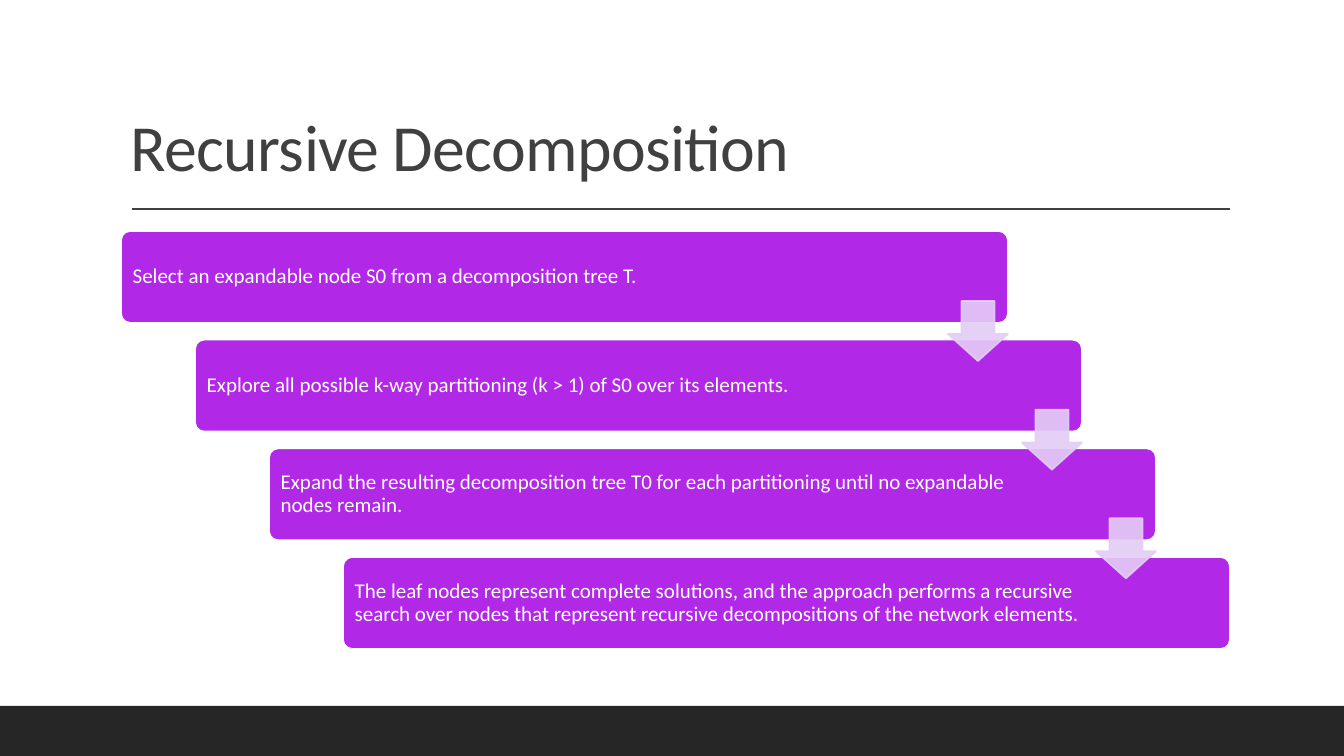
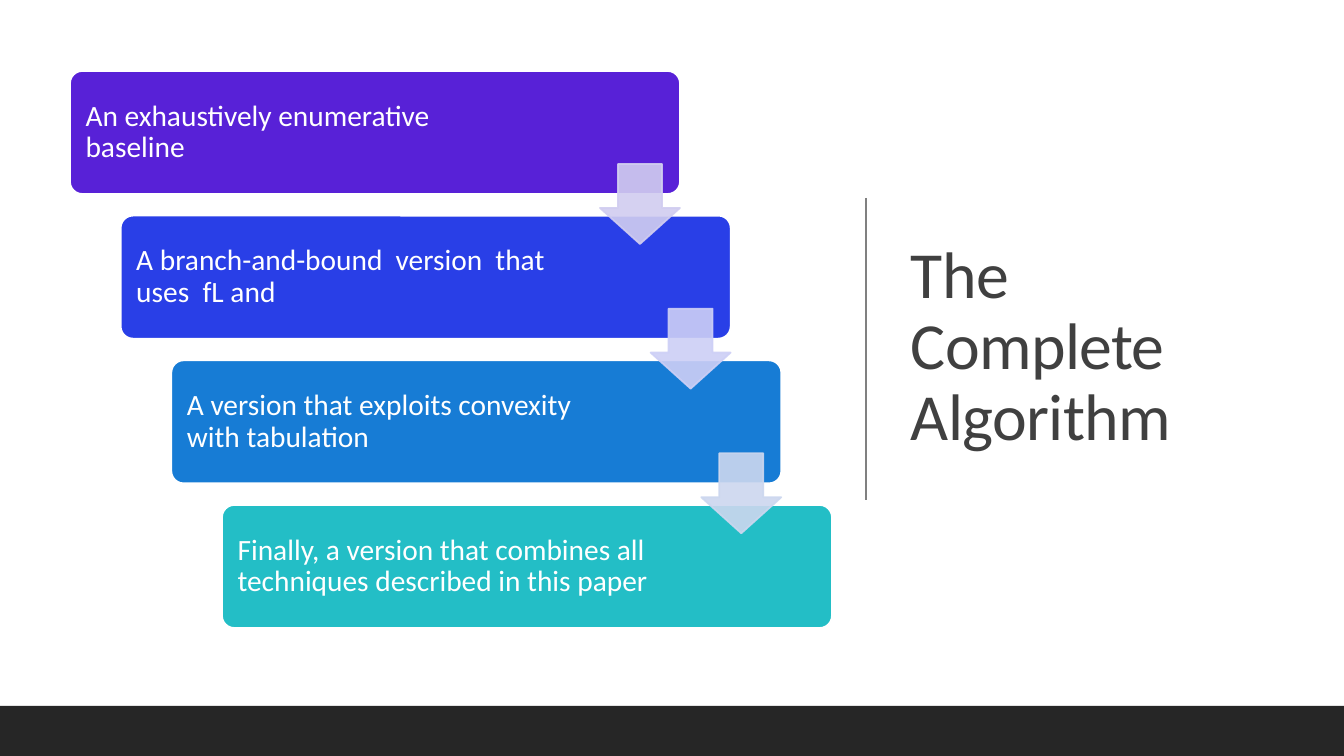
from lxml.etree import SubElement
from pptx import Presentation
from pptx.dml.color import RGBColor
from pptx.enum.shapes import MSO_CONNECTOR, MSO_SHAPE as SHAPE
from pptx.enum.text import MSO_ANCHOR as ANCHOR, PP_ALIGN
from pptx.oxml.ns import qn
from pptx.util import Emu, Pt

SLIDE_W, SLIDE_H = 1344, 756

THEME = {
    "font": "Calibri",
    "title_size": 47,
    "title_color": "404040",
    "footer_color": "262626",
    "light": "FFFFFF",
    "outline": 1.25,
    "rule": 1,
    "line_spacing": 0.9,
}
FOOTER = (0, 706, SLIDE_W, 50)

# Each step: text, box colour, colour of the arrow that leaves it
SLIDES = [
    {
        "title": "Recursive Decomposition",
        "title_box": (121, 31, 1109, 160),
        "title_anchor": ANCHOR.BOTTOM,
        "rule": (132, 209, 1230, 209),
        "rule_color": "404040",
        "stairs": {"first": (121, 231), "last": (343, 557), "box": (887, 92),
                   "arrow": 60, "arrow_drop": 70, "margins": (9, 143), "size": 15},
        "steps": [
            ("Select an expandable node S0 from a decomposition tree T.",
             "B129E7", "E4CDF6"),
            ("Explore all possible k-way partitioning (k > 1) of S0 over its elements.",
             "B129E7", "E4CDF6"),
            ("Expand the resulting decomposition tree T0 for each partitioning "
             "until no expandable nodes remain.", "B129E7", "E4CDF6"),
            ("The leaf nodes represent complete solutions, and the approach performs "
             "a recursive search over nodes that represent recursive decompositions "
             "of the network elements.", "B129E7", None),
        ],
    },
    {
        "title": "The Complete Algorithm",
        "title_box": (901, 70, 372, 557),
        "title_anchor": ANCHOR.MIDDLE,
        "rule": (866, 198, 866, 500),
        "rule_color": "808080",
        "stairs": {"first": (70, 71), "last": (222, 505), "box": (610, 123),
                   "arrow": 80, "arrow_drop": 93, "margins": (12, 149), "size": 21},
        "steps": [
            ("An exhaustively enumerative baseline", "5821D7", "D1CDF0"),
            ("A branch-and-bound  version  that  uses  fL and", "293FE7", "CDCFF6"),
            ("A version that exploits convexity with tabulation", "177CD5", "CCD7EF"),
            ("Finally, a version that combines all techniques described in this paper",
             "23BEC6", None),
        ],
    },
]


def px(*lengths):
    return [Emu(round(length * 914400 / 100.8)) for length in lengths]


def rgb(code):
    return RGBColor.from_string(code)


def write(frame, text, size, color, anchor):
    frame.word_wrap = True
    frame.vertical_anchor = anchor
    frame.text = text
    paragraph = frame.paragraphs[0]
    paragraph.alignment = PP_ALIGN.LEFT
    paragraph.line_spacing = THEME["line_spacing"]
    font = paragraph.runs[0].font
    font.name, font.size, font.color.rgb = THEME["font"], Pt(size), rgb(color)
    return font


def add_block(slide, preset, box, fill, outline=None):
    block = slide.shapes.add_shape(preset, *px(*box))
    block.shadow.inherit = False
    block.fill.solid()
    block.fill.fore_color.rgb = rgb(fill)
    if outline:
        block.line.color.rgb = rgb(outline)
        block.line.width = Pt(THEME["outline"])
    else:
        block.line.fill.background()
    return block


def add_title(slide, text, box, anchor):
    title = slide.shapes.add_textbox(*px(*box))
    font = write(title.text_frame, text, THEME["title_size"],
                 THEME["title_color"], anchor)
    font._element.set("spc", "-50")


def add_rule(slide, ends, color):
    rule = slide.shapes.add_connector(MSO_CONNECTOR.STRAIGHT, *px(*ends))
    rule.line.color.rgb = rgb(color)
    rule.line.width = Pt(THEME["rule"])
    SubElement(rule._element.spPr, qn("a:effectLst"))


def add_step(slide, left, top, stairs, text, fill):
    step = add_block(slide, SHAPE.ROUNDED_RECTANGLE, (left, top, *stairs["box"]),
                     fill, THEME["light"])
    step.adjustments[0] = 0.1
    frame = step.text_frame
    frame.margin_left, frame.margin_right = px(*stairs["margins"])
    write(frame, text, stairs["size"], THEME["light"], ANCHOR.MIDDLE)


def add_arrow(slide, left, top, stairs, color):
    """Add a see-through arrow flush with the right edge of its step."""
    side = stairs["arrow"]
    box = (left + stairs["box"][0] - side, top + stairs["arrow_drop"], side, side)
    arrow = add_block(slide, SHAPE.DOWN_ARROW, box, color, color)
    arrow.adjustments[0], arrow.adjustments[1] = 0.55, 0.45
    for tint in list(arrow._element.spPr.iter(qn("a:srgbClr"))):
        SubElement(tint, qn("a:alpha"), val="90000")


def add_staircase(slide, stairs, steps):
    (x0, y0), (x1, y1) = stairs["first"], stairs["last"]
    gaps = len(steps) - 1
    corners = [(x0 + (x1 - x0) * i / gaps, y0 + (y1 - y0) * i / gaps)
               for i in range(len(steps))]
    for corner, (text, fill, _) in zip(corners, steps):
        add_step(slide, *corner, stairs, text, fill)
    for corner, (_, _, arrow_color) in zip(corners, steps):
        if arrow_color:
            add_arrow(slide, *corner, stairs, arrow_color)


def main():
    deck = Presentation()
    deck.slide_width, deck.slide_height = px(SLIDE_W, SLIDE_H)
    for content in SLIDES:
        slide = deck.slides.add_slide(deck.slide_layouts[6])
        add_title(slide, content["title"], content["title_box"],
                  content["title_anchor"])
        add_rule(slide, content["rule"], content["rule_color"])
        add_block(slide, SHAPE.RECTANGLE, FOOTER, THEME["footer_color"])
        add_staircase(slide, content["stairs"], content["steps"])
    deck.save("out.pptx")


if __name__ == "__main__":
    main()
